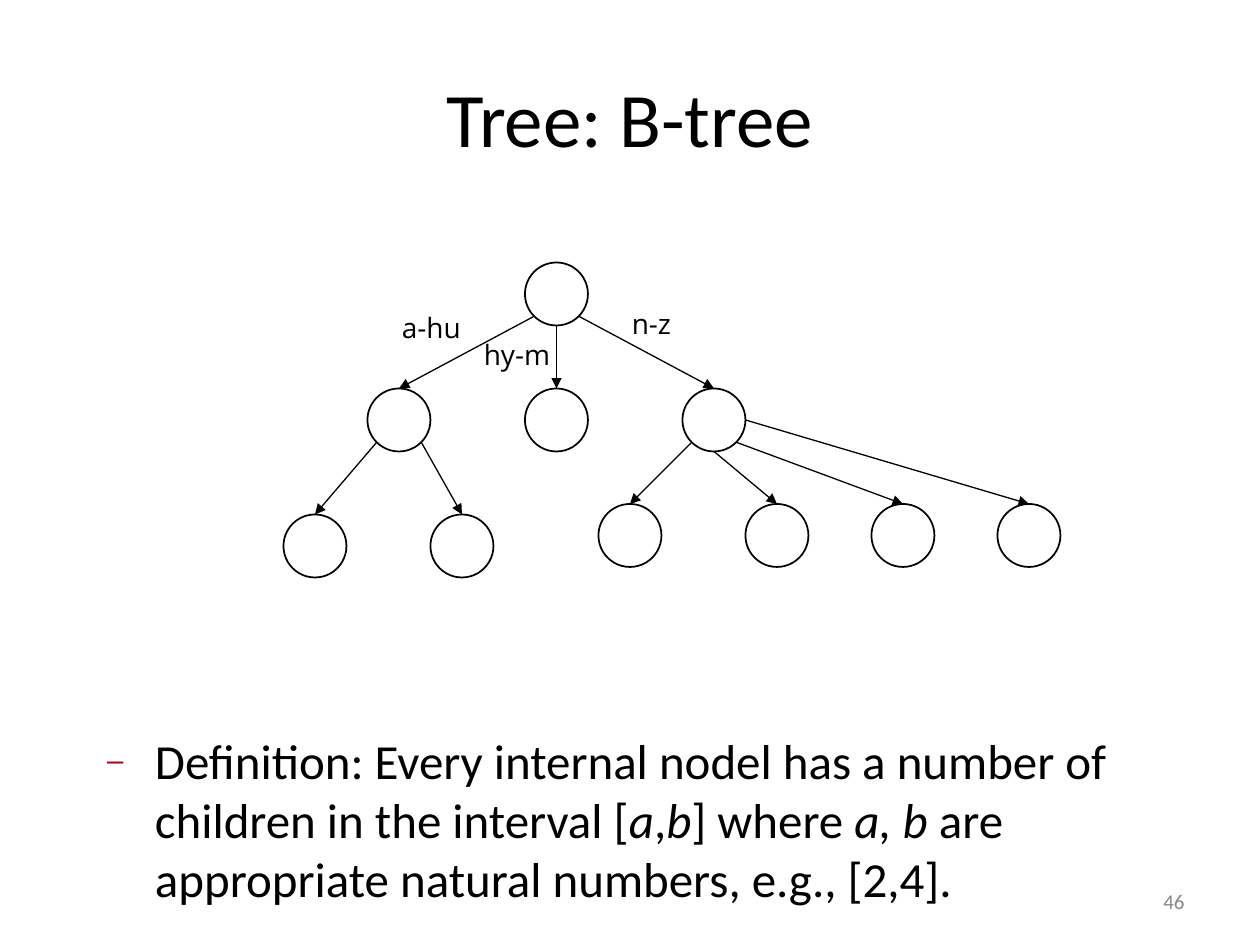
"""Build a slide that shows a B-tree with its definition."""
from math import cos, radians, sin

from lxml.etree import SubElement
from pptx import Presentation
from pptx.dml.color import RGBColor
from pptx.enum.shapes import MSO_CONNECTOR, MSO_SHAPE
from pptx.enum.text import MSO_ANCHOR, MSO_AUTO_SIZE, PP_ALIGN
from pptx.oxml.ns import qn
from pptx.util import Inches, Pt

COLORS = {"ink": "000000", "bullet": "A50021", "number": "898989"}

presentation = Presentation()
presentation.slide_width = Inches(10)
presentation.slide_height = Inches(7.5)
UNIT = presentation.slide_width / 120
slide = presentation.slides.add_slide(presentation.slide_layouts[1])


def grid(*cells):
    return [round(cell * UNIT) for cell in cells]


def write(shape, box, *texts, size=16, font="Open Sans", color="ink",
          align=PP_ALIGN.LEFT, anchor=MSO_ANCHOR.TOP, wrap=True):
    """Place a shape and fill its paragraph, with every second text in italics."""
    shape.left, shape.top, shape.width, shape.height = grid(*box)
    frame = shape.text_frame
    frame.word_wrap = wrap
    frame.auto_size = MSO_AUTO_SIZE.NONE if wrap else MSO_AUTO_SIZE.SHAPE_TO_FIT_TEXT
    frame.vertical_anchor = anchor
    paragraph = frame.paragraphs[0]
    paragraph.alignment = align
    paragraph.space_before = Pt(0)
    for index, text in enumerate(texts):
        run = paragraph.add_run()
        run.text = text
        run.font.size = Pt(size)
        run.font.name = font
        run.font.italic = index % 2 == 1
        run.font.color.rgb = RGBColor.from_string(COLORS[color])
    return paragraph


DIAMETER = 6
RADIUS = DIAMETER / 2
nodes = {
    "root": (50, 25),
    "left": (35, 37), "middle": (50, 37), "right": (65, 37),
    "left 1": (27, 49), "left 2": (41, 49),
    "right 1": (57, 48), "right 2": (71, 48), "right 3": (83, 48), "right 4": (95, 48),
}
for column, row in nodes.values():
    node = slide.shapes.add_shape(MSO_SHAPE.OVAL, *grid(column, row, DIAMETER, DIAMETER))
    node.shadow.inherit = False
    node.fill.background()
    node.line.color.rgb = RGBColor.from_string(COLORS["ink"])
    node.line.width = Pt(1)

edges = [
    ("root", "left", 135), ("root", "middle", 90), ("root", "right", 45),
    ("left", "left 1", 135), ("left", "left 2", 45),
    ("right", "right 1", 135), ("right", "right 2", 90),
    ("right", "right 3", 45), ("right", "right 4", 0),
]
for parent, child, angle in edges:
    column, row = nodes[parent]
    child_column, child_row = nodes[child]
    edge = slide.shapes.add_connector(MSO_CONNECTOR.STRAIGHT, *grid(
        column + RADIUS * (1 + cos(radians(angle))),
        row + RADIUS * (1 + sin(radians(angle))),
        child_column + RADIUS, child_row))
    edge.line.color.rgb = RGBColor.from_string(COLORS["ink"])
    edge.line.width = Pt(0.75)
    properties = edge._element.spPr
    SubElement(properties.find(qn("a:ln")), qn("a:tailEnd"), type="triangle")
    SubElement(properties, qn("a:effectLst"))

write(slide.shapes.title, (6, 3.6, 108, 15), "Tree: B-tree", size=44,
      font="Calibri", align=PP_ALIGN.CENTER, anchor=MSO_ANCHOR.MIDDLE)

definition = write(
    slide.placeholders[1], (9, 69, 102, 18),
    "Definition: Every internal nodel has a number of children in the interval [",
    "a", ",", "b", "] where ", "a, b",
    " are appropriate natural numbers, e.g., [2,4].", size=28, font="Calibri")
definition.level = 1
bullet = definition._p.get_or_add_pPr()
bullet.set("marL", str(Inches(0.38)))
bullet.set("indent", str(-Inches(0.38)))
SubElement(SubElement(bullet, qn("a:buClr")), qn("a:srgbClr"), val=COLORS["bullet"])
SubElement(bullet, qn("a:buSzPct"), val="60000")
SubElement(bullet, qn("a:buChar"), char="–")

for label, box in [("a-hu", (37.1, 29, 8, 4.4)),
                   ("hy-m", (44.9, 31.6, 8.8, 4.4)),
                   ("n-z", (59, 28.6, 6.1, 4.4))]:
    write(slide.shapes.add_textbox(*grid(*box)), box, label, wrap=False)

number_box = (86, 83.4, 28, 4.8)
write(slide.shapes.add_textbox(*grid(*number_box)), number_box, "46", size=12,
      font="Calibri", color="number", align=PP_ALIGN.RIGHT, anchor=MSO_ANCHOR.MIDDLE)

presentation.save("out.pptx")
